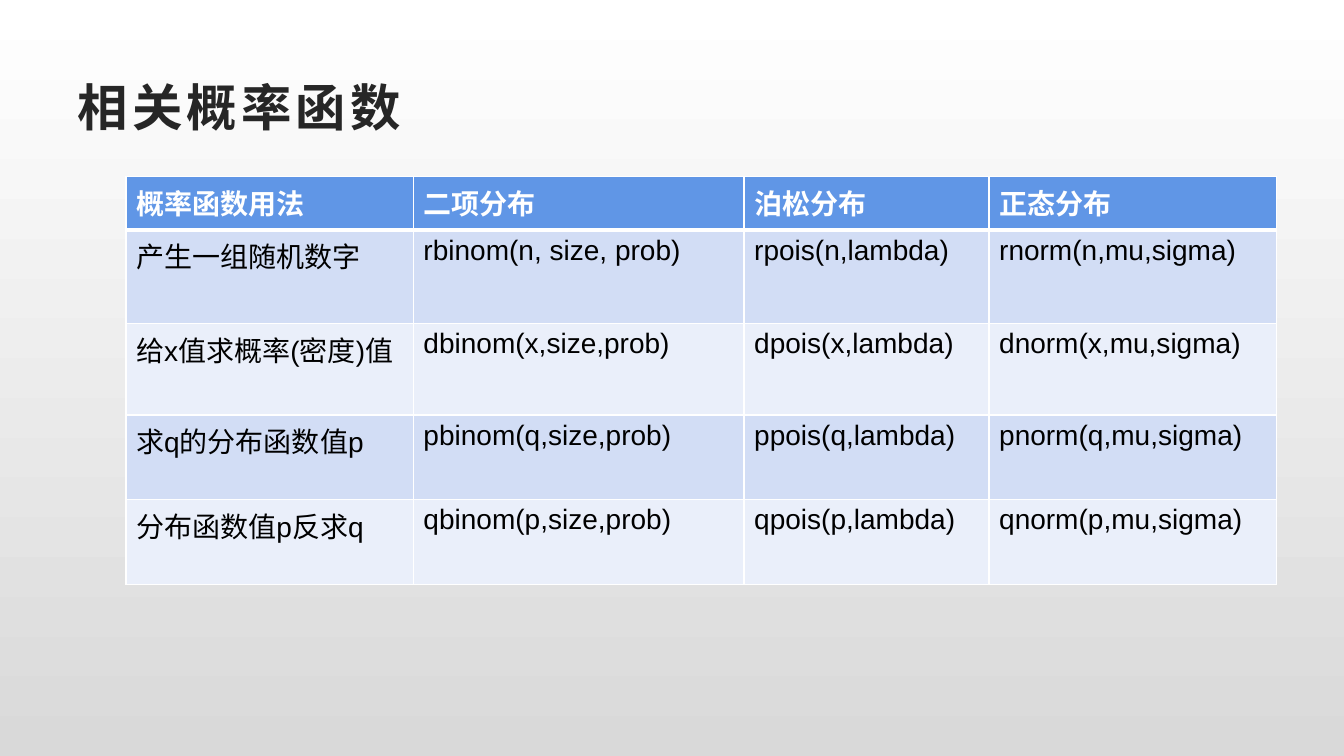
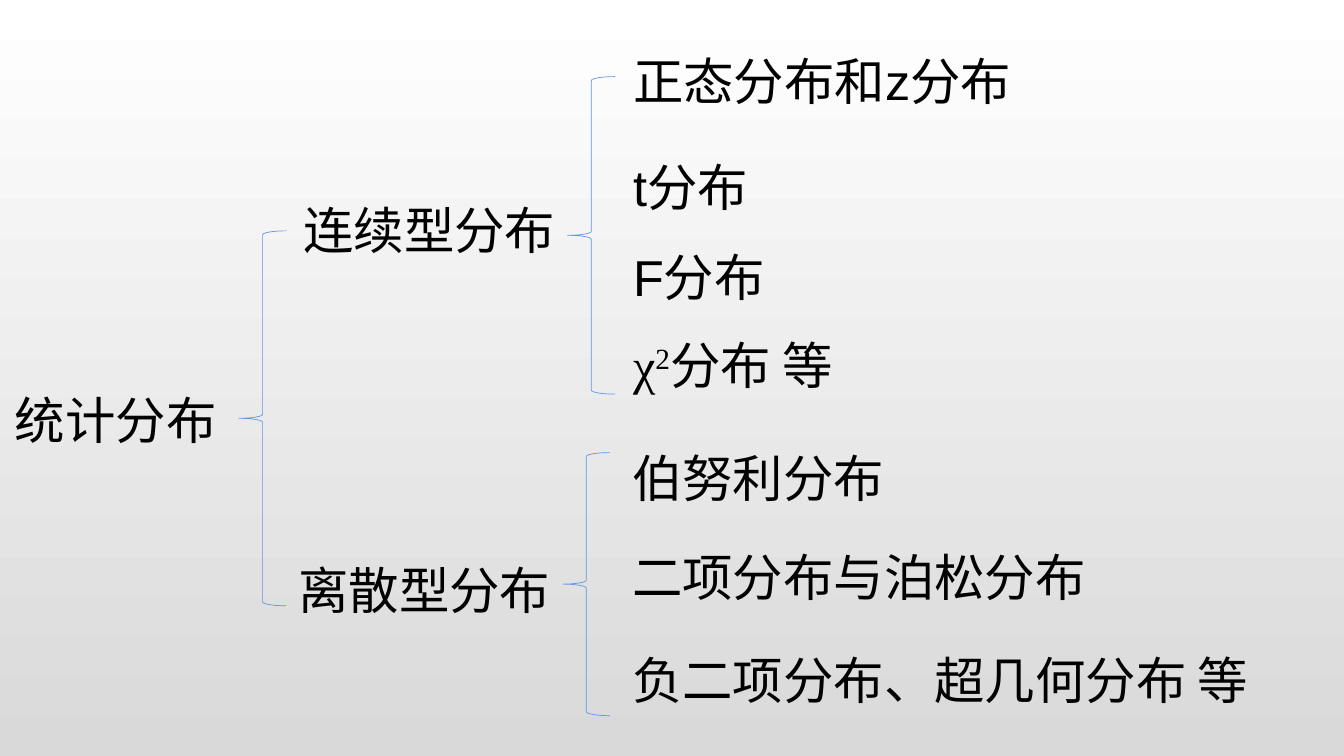
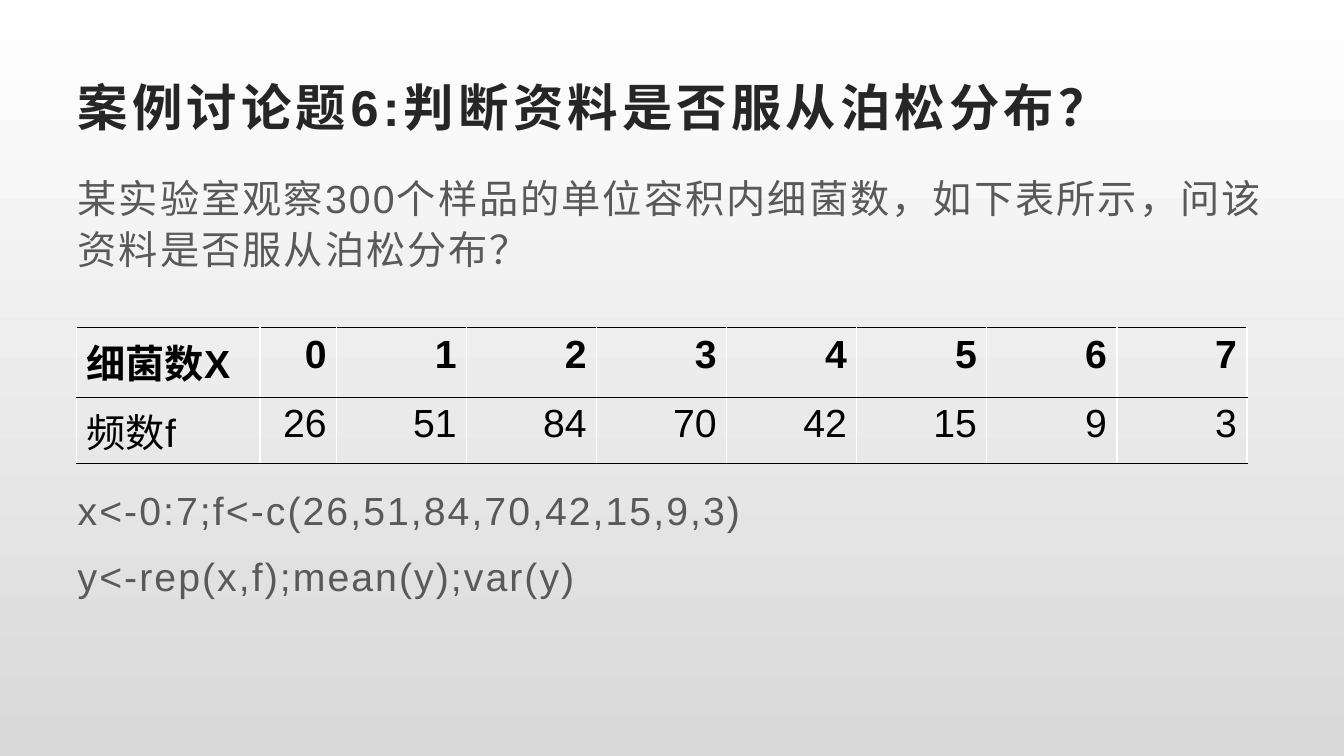
from dataclasses import dataclass

from lxml import etree
from pptx import Presentation
from pptx.dml.color import RGBColor as RGB
from pptx.enum.shapes import MSO_SHAPE as SHAPE
from pptx.enum.text import MSO_ANCHOR as ANCHOR, MSO_AUTO_SIZE as FIT, PP_ALIGN as ALIGN
from pptx.oxml.ns import qn
from pptx.util import Inches, Pt


@dataclass(frozen=True)
class Theme:
    font: str = "Arial"
    symbol_font: str = "Times New Roman"
    white: str = "FFFFFF"
    black: str = "000000"
    title: str = "262626"
    body: str = "595959"
    accent: str = "6096E6"
    bands: tuple = ("D2DDF5", "EAEFFA")
    backdrop: tuple = ("FFFFFF", "D9D9D9")
    large: int = 36
    medium: int = 28
    small: int = 20


@dataclass(frozen=True)
class Branch:
    """A label and a brace, then its leaves; offsets count from the branch's corner."""
    label: str
    label_top: float
    brace_left: float
    brace_top: float
    brace_height: float
    leaf_left: float = 0
    leaves: tuple = ()


THEME = Theme()
LABEL_WIDTH, LEAF_WIDTH, LABEL_HEIGHT, BRACE_WIDTH = 2.95, 6.81, 0.71, 0.47

FUNCTION_ROWS = [
    ("概率函数用法", "二项分布", "泊松分布", "正态分布"),
    ("产生一组随机数字", "rbinom(n, size, prob)", "rpois(n,lambda)", "rnorm(n,mu,sigma)"),
    ("给x值求概率(密度)值", "dbinom(x,size,prob)", "dpois(x,lambda)", "dnorm(x,mu,sigma)"),
    ("求q的分布函数值p", "pbinom(q,size,prob)", "ppois(q,lambda)", "pnorm(q,mu,sigma)"),
    ("分布函数值p反求q", "qbinom(p,size,prob)", "qpois(p,lambda)", "qnorm(p,mu,sigma)"),
]
FREQUENCIES = (26, 51, 84, 70, 42, 15, 9, 3)

ROOT = Branch("统计分布", 1.52, 2.32, 0, 3.72)
CONTINUOUS = Branch("连续型分布", 1.48, 2.72, 0.31, 3.15, 3.27, (
    (0, "正态分布和z分布"), (1.05, "t分布"), (1.94, "F分布"), (2.82, "χ", "2", "分布 等")))
DISCRETE = Branch("离散型分布", 1.11, 2.72, 0.1, 2.61, 3.31, (
    (0, "伯努利分布"), (0.98, "二项分布与泊松分布"), (2, "负二项分布、超几何分布 等")))


def inches(*lengths):
    return [Inches(length) for length in lengths]


def set_all(target, values):
    for name, value in values.items():
        setattr(target, name, value)


def add_run(paragraph, text, size, color, bold=False, font=THEME.font, **extras):
    """Add a run; extras are raw run attributes such as spc and baseline."""
    run = paragraph.add_run()
    run.text = text
    set_all(run.font, {"name": font, "size": Pt(size), "bold": bold})
    run.font.color.rgb = RGB.from_string(color)
    for name, value in extras.items():
        run.font._element.set(name, str(value))


def new_slide(deck, layout_index):
    return deck.slides.add_slide(deck.slide_layouts[layout_index])


def paint_backdrop(deck):
    fill = deck.slide_master.background.fill
    fill.gradient()
    fill.gradient_angle = 270
    for stop, color in zip(fill.gradient_stops, THEME.backdrop):
        stop.color.rgb = RGB.from_string(color)


def place(shape, left, top, width, height):
    set_all(shape, dict(zip(("left", "top", "width", "height"),
                            inches(left, top, width, height))))


def fill_title(slide, text):
    title = slide.shapes.title
    place(title, 0.67, 0.67, 12, 0.77)
    set_all(title.text_frame, {"vertical_anchor": ANCHOR.MIDDLE, "auto_size": FIT.NONE})
    heading = title.text_frame.paragraphs[0]
    heading.alignment = ALIGN.LEFT
    add_run(heading, text, THEME.large, THEME.title, bold=True, spc=300)


def fill_body(slide, box, lines):
    """Fill the body with (space before, text) lines, without bullets."""
    body = slide.placeholders[1]
    place(body, *box)
    frame = body.text_frame
    frame.auto_size = FIT.NONE
    for index, (gap, text) in enumerate(lines):
        line = frame.add_paragraph() if index else frame.paragraphs[0]
        set_all(line, {"line_spacing": 1.1, "space_before": Pt(gap), "space_after": Pt(10)})
        properties = line._p.get_or_add_pPr()
        properties.set("marL", "0")
        properties.set("indent", "0")
        etree.SubElement(properties, qn("a:buNone"))
        add_run(line, text, THEME.medium, THEME.body, spc=150)


def border_cell(cell, edges):
    """Draw the cell's edges, given as side: (colour, points) in L, R, T, B order."""
    properties = cell._tc.get_or_add_tcPr()
    for side, (color, points) in edges.items():
        edge = etree.SubElement(properties, qn(f"a:ln{side}"), w=str(Pt(points)))
        paint = etree.SubElement(edge, qn("a:solidFill"))
        etree.SubElement(paint, qn("a:srgbClr"), val=color)


def add_grid(slide, left, top, widths, heights, rows, size, rules,
             head_color=THEME.black, fills=None, number_align=ALIGN.LEFT):
    """Add a table; rules are its horizontal lines from top to bottom."""
    box = inches(left, top, sum(widths), sum(heights))
    grid = slide.shapes.add_table(len(rows), len(widths), *box).table
    for column, width in zip(grid.columns, widths):
        column.width = Inches(width)
    for row, height in zip(grid.rows, heights):
        row.height = Inches(height)
    side = (THEME.white, 1)
    for r, texts in enumerate(rows):
        for c, text in enumerate(texts):
            cell = grid.cell(r, c)
            border_cell(cell, {"L": side, "R": side, "T": rules[r], "B": rules[r + 1]})
            if fills:
                cell.fill.solid()
                cell.fill.fore_color.rgb = RGB.from_string(fills[r])
            else:
                cell.fill.background()
            entry = cell.text_frame.paragraphs[0]
            entry.alignment = number_align if c else ALIGN.LEFT
            add_run(entry, str(text), size, THEME.black if r else head_color, bold=r == 0)


def add_label(slide, left, top, width, text, power="", rest=""):
    """Add a label; with a power, text is a symbol raised to it and rest follows."""
    box = slide.shapes.add_textbox(*inches(left, top, width, LABEL_HEIGHT))
    set_all(box.text_frame, {"word_wrap": True, "auto_size": FIT.SHAPE_TO_FIT_TEXT})
    line = box.text_frame.paragraphs[0]
    style = (THEME.large, THEME.black)
    add_run(line, text, *style, font=THEME.symbol_font if power else THEME.font)
    if power:
        add_run(line, power, *style, font=THEME.symbol_font, baseline=30000)
        add_run(line, rest, *style)


def draw_branch(slide, left, top, branch):
    brace = slide.shapes.add_shape(SHAPE.LEFT_BRACE, *inches(
        left + branch.brace_left, top + branch.brace_top, BRACE_WIDTH, branch.brace_height))
    brace.shadow.inherit = False
    brace.fill.background()
    brace.line.color.rgb = RGB.from_string(THEME.accent)
    brace.line.width = Pt(0.5)
    add_label(slide, left, top + branch.label_top, LABEL_WIDTH, branch.label)
    for offset, *texts in branch.leaves:
        add_label(slide, left + branch.leaf_left, top + offset, LEAF_WIDTH, *texts)


def build_function_slide(deck):
    slide = new_slide(deck, 5)
    fill_title(slide, "相关概率函数")
    thin, thick = (THEME.white, 1), (THEME.white, 3)
    add_grid(slide, 1.25, 1.75, (2.85, 3.28, 2.43, 2.85), (0.53, 0.93, 0.84, 0.84, 0.84),
             FUNCTION_ROWS, THEME.small, [thin, thick] + [thin] * 4,
             head_color=THEME.white, fills=(THEME.accent,) + THEME.bands * 2)


def build_distribution_slide(deck):
    slide = new_slide(deck, 6)
    draw_branch(slide, 0.05, 2.29, ROOT)
    draw_branch(slide, 2.91, 0.45, CONTINUOUS)
    draw_branch(slide, 2.86, 4.39, DISCRETE)


def build_case_slide(deck):
    slide = new_slide(deck, 1)
    fill_title(slide, "案例讨论题6:判断资料是否服从泊松分布？")
    values = ",".join(map(str, FREQUENCIES))
    fill_body(slide, (0.67, 1.63, 12, 5.2), (
        (0, "某实验室观察300个样品的单位容积内细菌数，如下表所示，问该资料是否服从泊松分布？"),
        (139, f"x<-0:7;f<-c({values})"),
        (0, "y<-rep(x,f);mean(y);var(y)")))
    rows = [("细菌数X", *range(len(FREQUENCIES))), ("频数f", *FREQUENCIES)]
    add_grid(slide, 0.76, 3.25, [1.82, 0.76] + [1.29] * 7, (0.69, 0.57), rows,
             THEME.medium, [(THEME.black, 1)] * 3, number_align=ALIGN.RIGHT)


def main():
    deck = Presentation()
    set_all(deck, {"slide_width": Inches(13.33), "slide_height": Inches(7.5)})
    paint_backdrop(deck)
    build_function_slide(deck)
    build_distribution_slide(deck)
    build_case_slide(deck)
    deck.save("out.pptx")


if __name__ == "__main__":
    main()
